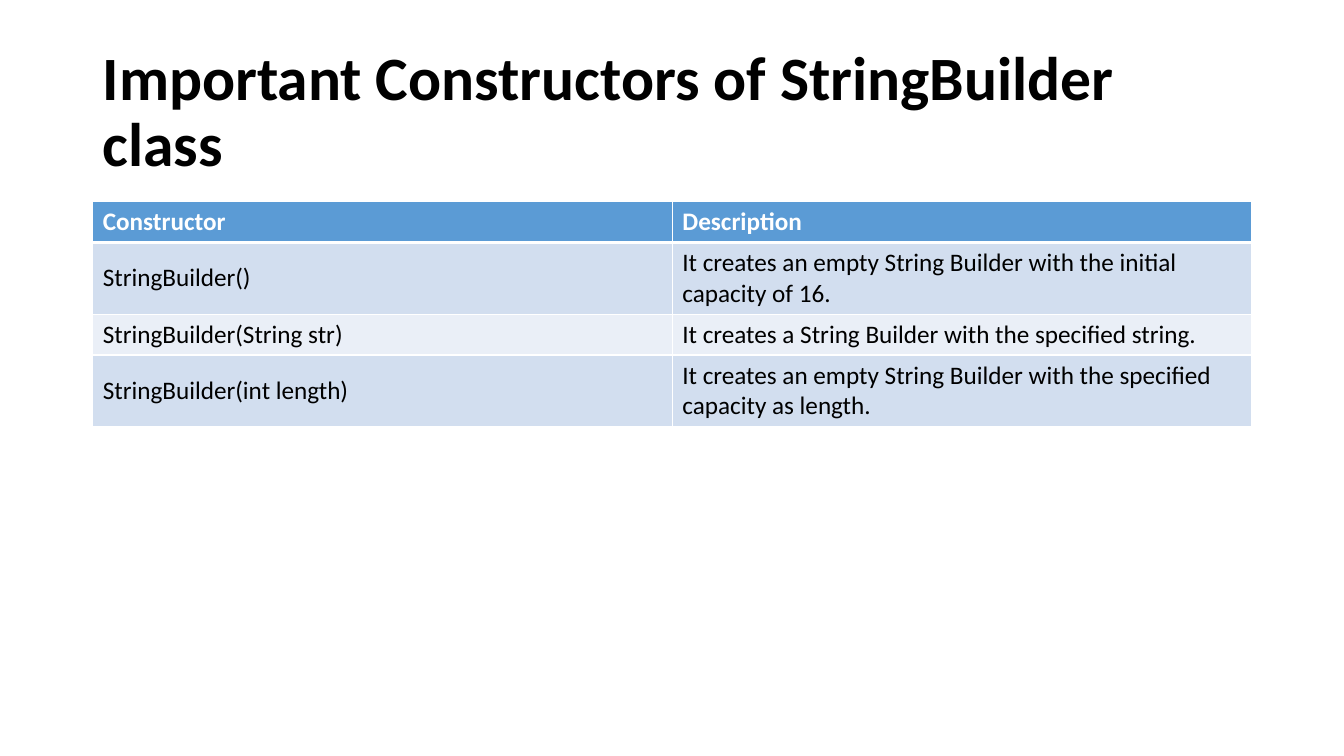
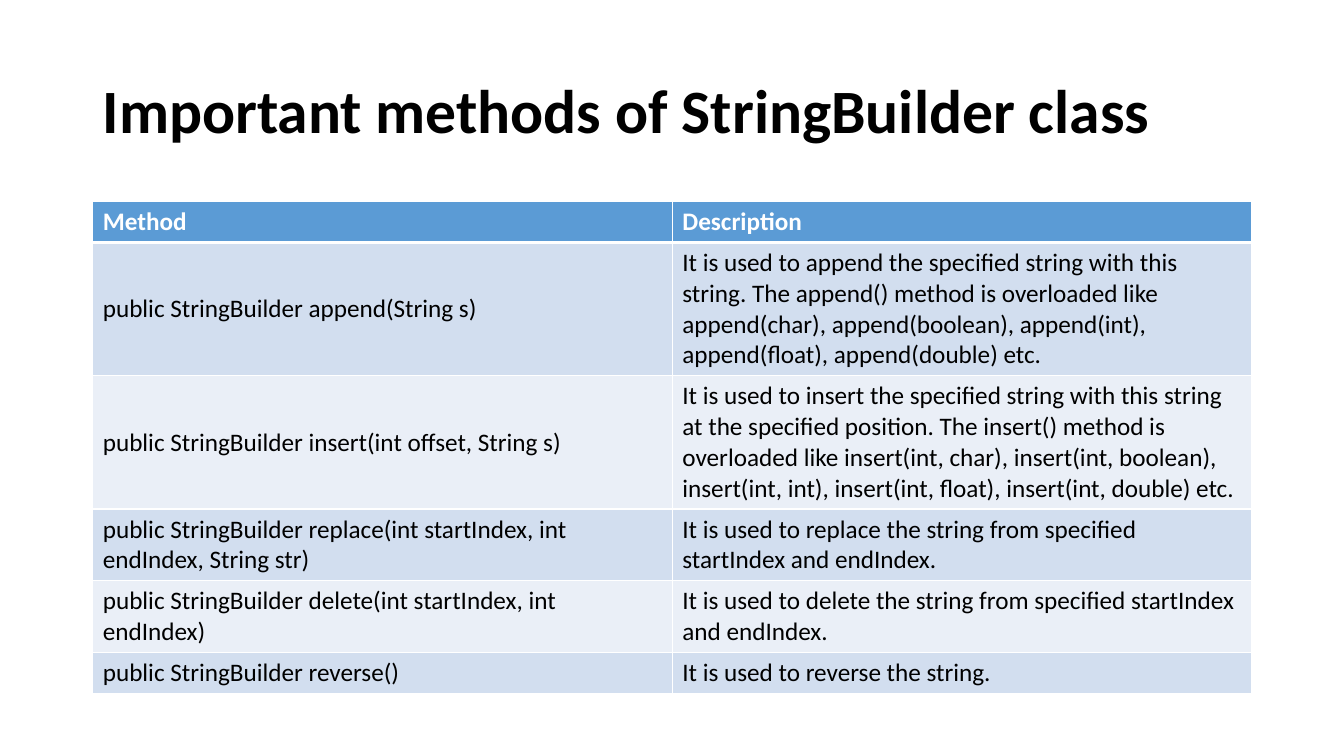
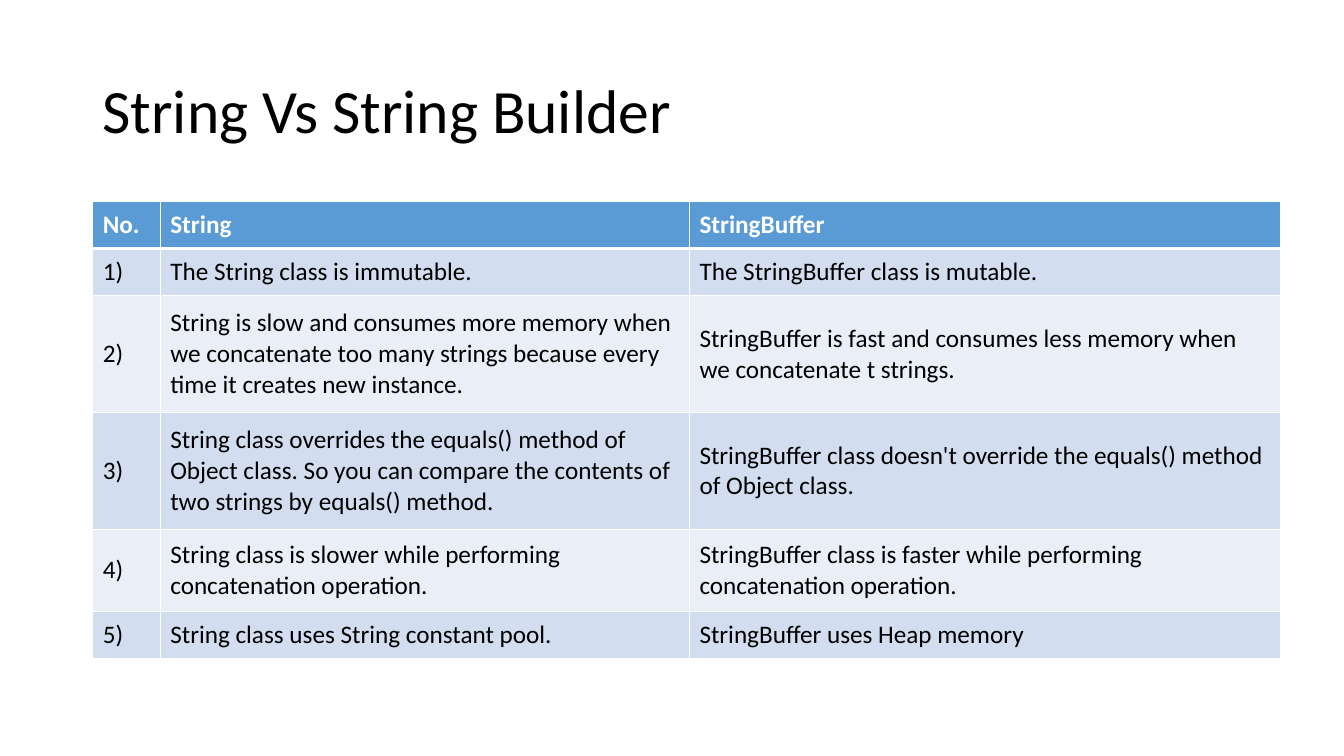
from pptx import Presentation
from pptx.dml.color import RGBColor
from pptx.enum.text import MSO_ANCHOR as Anchor
from pptx.oxml import parse_xml
from pptx.oxml.ns import nsdecls
from pptx.util import Pt

BLACK = RGBColor(0x00, 0x00, 0x00)
WHITE = RGBColor(0xFF, 0xFF, 0xFF)
BLUE = RGBColor(0x5B, 0x9B, 0xD5)
BANDS = [RGBColor(0xEA, 0xEF, 0xF7), RGBColor(0xD2, 0xDE, 0xEF)]
FONT = "Calibri"
LEFT = 66.24
LINE = 22
ROW = 29.2


def write(frame, text, size=18, color=BLACK, bold=False, space=1.0):
    frame.word_wrap = True
    para = frame.paragraphs[0]
    para.line_spacing = space
    run = para.add_run()
    run.text = text
    run.font.name = FONT
    run.font.size = Pt(size)
    run.font.bold = bold
    run.font.color.rgb = color


def border(cell, top, bottom):
    props = cell._tc.get_or_add_tcPr()
    sides = [("L", 1), ("R", 1), ("T", top), ("B", bottom)]
    for spot, (side, width) in enumerate(sides):
        props.insert(spot, parse_xml(
            f'<a:ln{side} {nsdecls("a")} w="{Pt(width)}"><a:solidFill>'
            f'<a:srgbClr val="{WHITE}"/></a:solidFill></a:ln{side}>'))


pages = [
    {
        "title": "Important Constructors of StringBuilder class",
        "bold": True,
        "cols": [414, 414],
        "rows": [ROW + LINE * extra for extra in (0, 1, 0, 1)],
        "cells": [
            ("Constructor", "Description"),
            ("StringBuilder()",
             "It creates an empty String Builder with the initial capacity of 16."),
            ("StringBuilder(String str)",
             "It creates a String Builder with the specified string."),
            ("StringBuilder(int length)",
             "It creates an empty String Builder with the specified capacity as length."),
        ],
    },
    {
        "title": "Important methods of StringBuilder class",
        "bold": True,
        "cols": [414, 414],
        "rows": [ROW + LINE * extra for extra in (0, 3, 3, 1, 1, 0)],
        "cells": [
            ("Method", "Description"),
            ("public StringBuilder append(String s)",
             "It is used to append the specified string with this string. "
             "The append() method is overloaded like append(char), "
             "append(boolean), append(int), append(float), append(double) etc."),
            ("public StringBuilder insert(int offset, String s)",
             "It is used to insert the specified string with this string at the "
             "specified position. The insert() method is overloaded like "
             "insert(int, char), insert(int, boolean), insert(int, int), "
             "insert(int, float), insert(int, double) etc."),
            ("public StringBuilder replace(int startIndex, int endIndex, String str)",
             "It is used to replace the string from specified startIndex and endIndex."),
            ("public StringBuilder delete(int startIndex, int endIndex)",
             "It is used to delete the string from specified startIndex and endIndex."),
            ("public StringBuilder reverse()",
             "It is used to reverse the string."),
        ],
    },
    {
        "title": "String Vs String Builder",
        "bold": False,
        "cols": [48.24, 378, 421.92],
        "rows": [33.6, 33.6, 83.5, 83.5, 58.5, 33.6],
        "cells": [
            ("No.", "String", "StringBuffer"),
            ("1)", "The String class is immutable.",
             "The StringBuffer class is mutable."),
            ("2)",
             "String is slow and consumes more memory when we concatenate too "
             "many strings because every time it creates new instance.",
             "StringBuffer is fast and consumes less memory when we concatenate t strings."),
            ("3)",
             "String class overrides the equals() method of Object class. So you "
             "can compare the contents of two strings by equals() method.",
             "StringBuffer class doesn't override the equals() method of Object class."),
            ("4)",
             "String class is slower while performing concatenation operation.",
             "StringBuffer class is faster while performing concatenation operation."),
            ("5)", "String class uses String constant pool.",
             "StringBuffer uses Heap memory"),
        ],
    },
]

deck = Presentation()
deck.slide_width = Pt(960)
deck.slide_height = Pt(540)

for page in pages:
    slide = deck.slides.add_slide(deck.slide_layouts[6])
    title = slide.shapes.add_textbox(Pt(LEFT), Pt(28.8), Pt(828), Pt(104.4))
    title.text_frame.vertical_anchor = Anchor.MIDDLE
    write(title.text_frame, page["title"], size=44, bold=page["bold"], space=0.9)

    cols, rows = page["cols"], page["rows"]
    table = slide.shapes.add_table(
        len(rows), len(cols), Pt(LEFT), Pt(144), Pt(sum(cols)), Pt(sum(rows))).table
    for col, width in zip(table.columns, cols):
        col.width = Pt(width)
    for r, height in enumerate(rows):
        table.rows[r].height = Pt(height)
        head = r == 0
        for c, text in enumerate(page["cells"][r]):
            cell = table.cell(r, c)
            cell.vertical_anchor = Anchor.MIDDLE
            cell.fill.solid()
            cell.fill.fore_color.rgb = BLUE if head else BANDS[r % 2]
            border(cell, top=3 if r == 1 else 1, bottom=3 if head else 1)
            write(cell.text_frame, text, color=WHITE if head else BLACK, bold=head)

deck.save("out.pptx")
